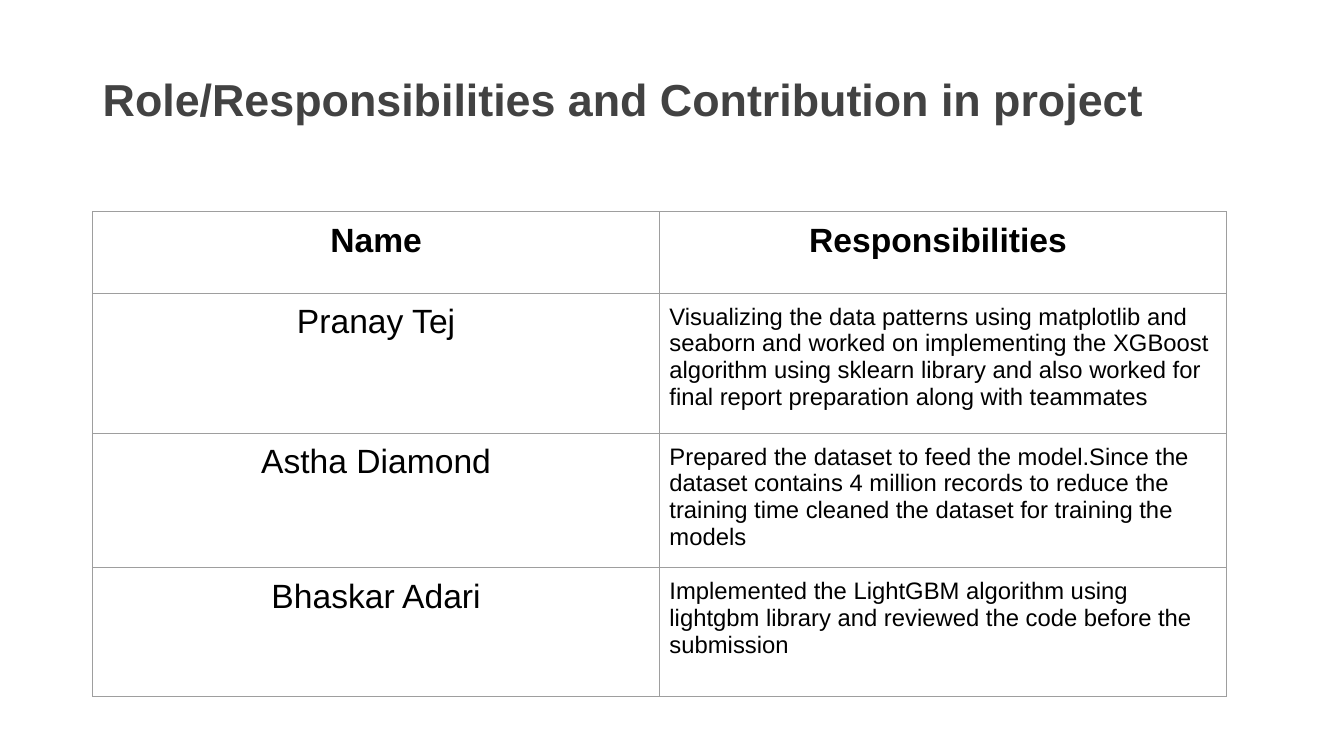
from lxml import etree
from pptx import Presentation
from pptx.dml.color import RGBColor
from pptx.enum.text import MSO_ANCHOR, PP_ALIGN
from pptx.oxml import parse_xml
from pptx.util import Inches, Pt

LEFT, CENTER = PP_ALIGN.LEFT, PP_ALIGN.CENTER
MIDDLE = MSO_ANCHOR.MIDDLE
NS = "http://schemas.openxmlformats.org/drawingml/2006/main"
BORDER = "9E9E9E"


def write(tf, text, size, color="000000", bold=False, align=LEFT, spacing=None):
    tf.word_wrap = True
    p = tf.paragraphs[0]
    p.alignment = align
    p.line_spacing = spacing
    r = p.add_run()
    r.text = text
    r.font.name = "Arial"
    r.font.size = Pt(size)
    r.font.bold = bold
    r.font.color.rgb = RGBColor.from_string(color)


def add_borders(cell, color):
    tc_pr = cell._tc.get_or_add_tcPr()
    for side in ("lnL", "lnR", "lnT", "lnB"):
        tc_pr.append(parse_xml(
            f'<a:{side} xmlns:a="{NS}" w="{Pt(0.75)}"><a:solidFill>'
            f'<a:srgbClr val="{color}"/></a:solidFill></a:{side}>'))


prs = Presentation()
prs.slide_width, prs.slide_height = Inches(13.33), Inches(7.5)
s = prs.slides.add_slide(prs.slide_layouts[6])

title = s.shapes.add_textbox(Inches(0.92), Inches(0.4), Inches(11.5), Inches(1.22))
title.text_frame.vertical_anchor = MIDDLE
write(title.text_frame, "Role/Responsibilities and Contribution in project", 32,
      color="424242", bold=True, spacing=0.9)

rows = [
    ("Name", "Responsibilities "),
    ("Pranay Tej",
     "Visualizing the data patterns using matplotlib and seaborn and worked on "
     "implementing the XGBoost algorithm using sklearn library and also worked "
     "for final report preparation along with teammates"),
    ("Astha Diamond",
     "Prepared the dataset to feed the model.Since the dataset contains 4 million "
     "records to reduce the training time cleaned the dataset for training the models"),
    ("Bhaskar Adari",
     "Implemented the LightGBM algorithm using lightgbm library and reviewed the "
     "code before the submission"),
]
row_heights = [0.81, 1.39, 1.28, 1.28]
col_width = 5.62

table = s.shapes.add_table(len(rows), 2, Inches(0.92), Inches(2.1),
                           Inches(2 * col_width), Inches(sum(row_heights))).table
table.horz_banding = False
table.first_row = False
for col in table.columns:
    col.width = Inches(col_width)

for i, (texts, height) in enumerate(zip(rows, row_heights)):
    table.rows[i].height = Inches(height)
    for j, text in enumerate(texts):
        cell = table.cell(i, j)
        cell.margin_left = cell.margin_right = Inches(0.1)
        cell.margin_top = cell.margin_bottom = Inches(0.1)
        add_borders(cell, BORDER)
        cell.fill.background()
        is_header = i == 0
        is_duty = j == 1 and not is_header
        write(cell.text_frame, text, 17 if is_duty else 24, bold=is_header,
              align=LEFT if is_duty else CENTER)

prs.save("out.pptx")
